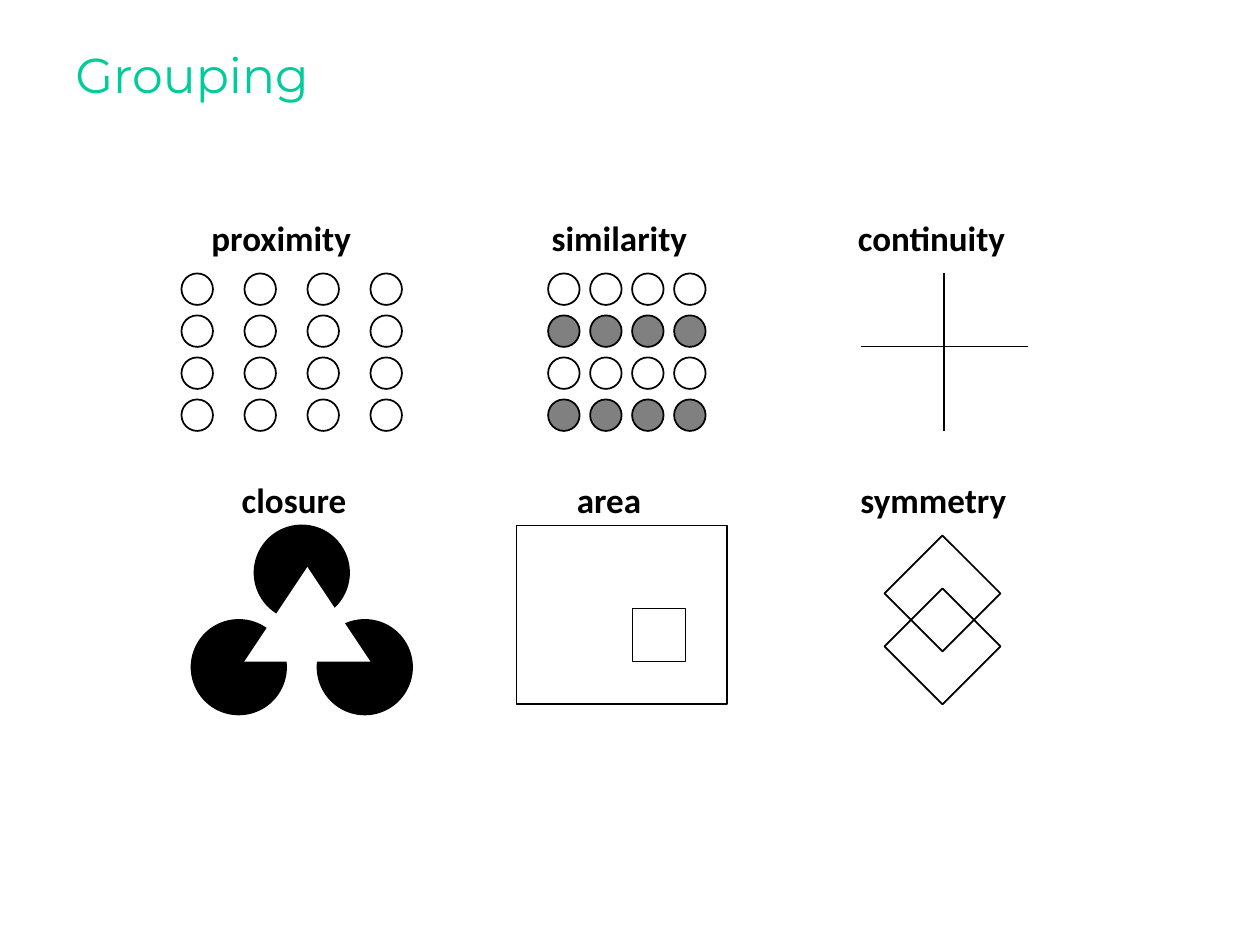
from dataclasses import dataclass

from lxml.etree import SubElement
from pptx import Presentation
from pptx.dml.color import RGBColor
from pptx.enum.shapes import MSO_CONNECTOR, MSO_SHAPE
from pptx.enum.text import MSO_ANCHOR, PP_ALIGN
from pptx.oxml.ns import qn
from pptx.util import Inches, Pt


@dataclass(frozen=True)
class Theme:
    title: RGBColor = RGBColor(0x00, 0xCC, 0x99)
    ink: RGBColor = RGBColor(0x00, 0x00, 0x00)
    paper: RGBColor = RGBColor(0xFF, 0xFF, 0xFF)
    grey: RGBColor = RGBColor(0x80, 0x80, 0x80)
    title_font: str = "Montserrat"
    label_font: str = "Calibri"
    title_size: Pt = Pt(28)
    label_size: Pt = Pt(20)
    line_width: Pt = Pt(1)


THEME = Theme()


def add_text(slide, text, box, font, size, color, bold=False):
    tf = slide.shapes.add_textbox(*map(Inches, box)).text_frame
    tf.word_wrap = True
    tf.vertical_anchor = MSO_ANCHOR.TOP
    p = tf.paragraphs[0]
    p.alignment = PP_ALIGN.LEFT
    r = p.add_run()
    r.text = text
    r.font.name, r.font.size, r.font.bold = font, size, bold
    r.font.color.rgb = color


def add_figure(slide, kind, box, fill=None, outlined=True):
    sp = slide.shapes.add_shape(kind, *map(Inches, box))
    sp.shadow.inherit = False
    if fill is None:
        sp.fill.background()
    else:
        sp.fill.solid()
        sp.fill.fore_color.rgb = fill
    if outlined:
        sp.line.color.rgb = THEME.ink
        sp.line.width = THEME.line_width
    else:
        sp.line.fill.background()


def add_line(slide, x1, y1, x2, y2):
    cxn = slide.shapes.add_connector(
        MSO_CONNECTOR.STRAIGHT, *map(Inches, (x1, y1, x2, y2)))
    cxn.line.color.rgb = THEME.ink
    cxn.line.width = THEME.line_width
    SubElement(cxn.element.spPr, qn("a:effectLst"))


def add_dots(slide, box, row_fills):
    """Fill the box with a square grid of dots, one fill per row."""
    x, y, w, h = box
    size, steps = 0.25, len(row_fills) - 1
    for col in range(len(row_fills)):
        for row, fill in enumerate(row_fills):
            dot = (x + col * (w - size) / steps,
                   y + row * (h - size) / steps, size, size)
            add_figure(slide, MSO_SHAPE.OVAL, dot, fill)


def draw_proximity(slide, box):
    add_dots(slide, box, [THEME.paper] * 4)


def draw_similarity(slide, box):
    add_dots(slide, box, [THEME.paper, THEME.grey] * 2)


def draw_continuity(slide, box):
    x, y, w, h = box
    add_line(slide, x + w / 2, y, x + w / 2, y + h)
    add_line(slide, x, y + 0.58, x + w, y + 0.58)


def draw_closure(slide, box):
    """Three discs, partly covered by a white triangle."""
    x, y, w, h = box
    disc = 0.75
    corners = ((0, h - disc), ((w - disc) / 2, 0), (w - disc, h - disc))
    for dx, dy in corners:
        add_figure(slide, MSO_SHAPE.OVAL, (x + dx, y + dy, disc, disc), THEME.ink)
    add_figure(slide, MSO_SHAPE.ISOSCELES_TRIANGLE,
               (x + 0.42, y + 0.33, 1, 0.75), THEME.paper, outlined=False)


def draw_area(slide, box):
    x, y, w, h = box
    add_figure(slide, MSO_SHAPE.RECTANGLE, box, THEME.paper)
    add_figure(slide, MSO_SHAPE.RECTANGLE,
               (x + 0.92, y + 0.66, 0.42, 0.42), THEME.paper)


def draw_symmetry(slide, box):
    """Two overlapping diamonds, at the top and the bottom of the box."""
    x, y, w, h = box
    for top in (y, y + h - w):
        add_figure(slide, MSO_SHAPE.DIAMOND, (x, top, w, w))


# label, label left, label width, drawing function, figure box
ROWS = {
    1.67: (
        ("proximity", 1.58, 1.45, draw_proximity, (1.44, 2.17, 1.75, 1.25)),
        ("similarity", 4.28, 1.42, draw_similarity, (4.35, 2.17, 1.25, 1.25)),
        ("continuity", 6.71, 1.53, draw_continuity, (6.83, 2.17, 1.33, 1.25)),
    ),
    3.75: (
        ("closure", 1.82, 1.19, draw_closure, (1.52, 4.17, 1.75, 1.5)),
        ("area", 4.48, 0.77, draw_area, (4.1, 4.17, 1.67, 1.42)),
        ("symmetry", 6.73, 1.51, draw_symmetry, (7.02, 4.25, 0.92, 1.34)),
    ),
}


def main():
    prs = Presentation()
    prs.slide_width, prs.slide_height = Inches(10), Inches(7.5)
    slide = prs.slides.add_slide(prs.slide_layouts[6])
    add_text(slide, "Grouping", (0.5, 0.3, 9, 1.25),
             THEME.title_font, THEME.title_size, THEME.title)
    for label_top, principles in ROWS.items():
        for label, left, width, draw, box in principles:
            draw(slide, box)
            add_text(slide, label, (left, label_top, width, 0.43),
                     THEME.label_font, THEME.label_size, THEME.ink, bold=True)
    prs.save("out.pptx")


if __name__ == "__main__":
    main()
